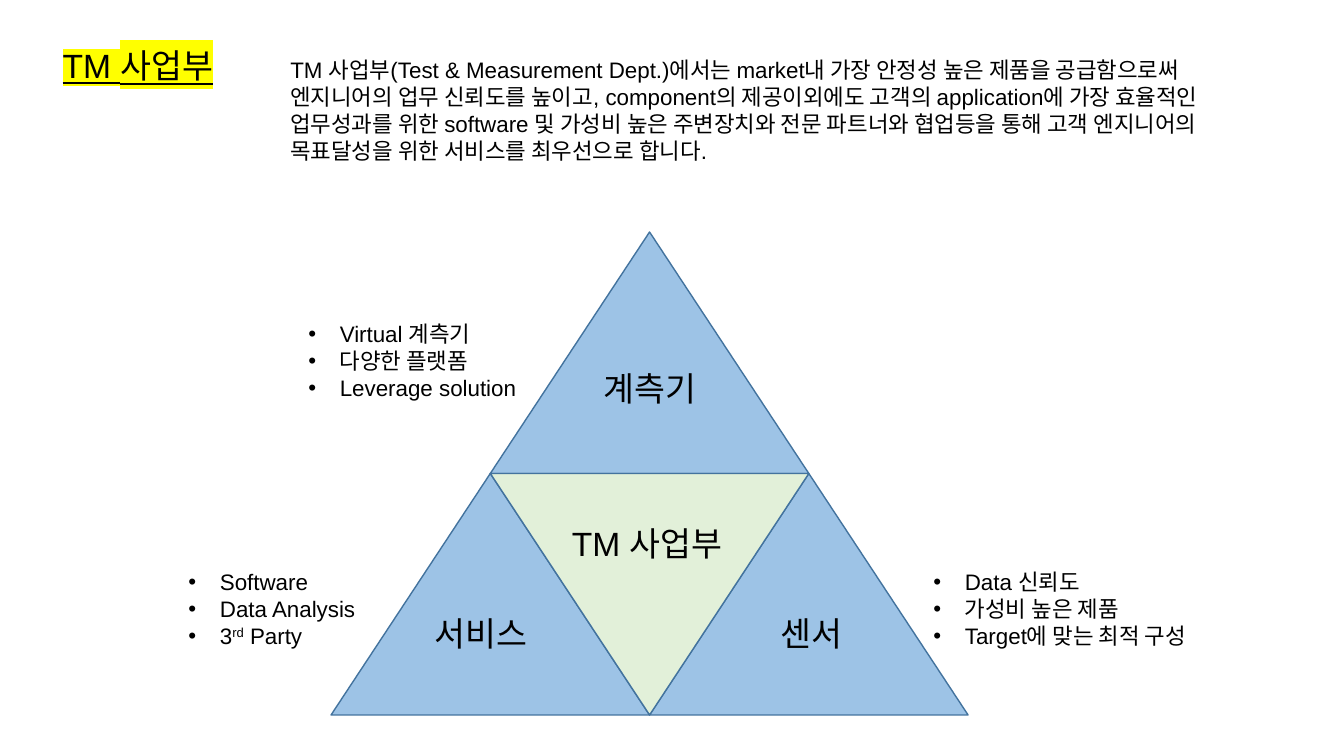
import lxml.etree
import pptx
import pptx.dml.color
import pptx.enum.shapes
import pptx.enum.text
import pptx.oxml.ns
import pptx.util

Pt = pptx.util.Pt
qn = pptx.oxml.ns.qn
RGBColor = pptx.dml.color.RGBColor
MSO_SHAPE = pptx.enum.shapes.MSO_SHAPE
PP_ALIGN = pptx.enum.text.PP_ALIGN
MSO_ANCHOR = pptx.enum.text.MSO_ANCHOR
MSO_AUTO_SIZE = pptx.enum.text.MSO_AUTO_SIZE

BLACK = RGBColor(0x00, 0x00, 0x00)
BLUE = RGBColor(0x9D, 0xC3, 0xE6)
GREEN = RGBColor(0xE2, 0xF0, 0xD9)
OUTLINE = RGBColor(0x43, 0x73, 0x9E)
YELLOW = RGBColor(0xFF, 0xFF, 0x00)

LATIN, KOREAN = "Arial", "Noto Sans CJK KR"
LARGE, SMALL = 24, 16
BULLET_INDENT = 22.5

# Triangle grid: one on top, two below, one inverted between them
GRID_X, GRID_Y, TRI_W, TRI_H = 236.5, 165.7, 227.5, 172.5


class SlideBuilder:
    def __init__(self, s):
        self.s = s

    def run(self, p, text, size, font=LATIN, baseline=None, highlight=None):
        r = p.add_run()
        r.text = text
        r.font.size = Pt(size)
        r.font.bold = False
        r.font.color.rgb = BLACK
        r.font.name = font
        rPr = r._r.get_or_add_rPr()
        latin = rPr.find(qn("a:latin"))
        ea = lxml.etree.Element(qn("a:ea"), typeface=KOREAN)
        latin.addnext(ea)
        if baseline:
            rPr.set("baseline", str(baseline))
        if highlight is not None:
            r.font.underline = True
            mark = lxml.etree.Element(qn("a:highlight"))
            lxml.etree.SubElement(mark, qn("a:srgbClr"), val=str(highlight))
            latin.addprevious(mark)

    def frame(self, sp, box, wrap):
        sp.left, sp.top, sp.width, sp.height = (Pt(v) for v in box)
        tf = sp.text_frame
        tf.word_wrap = wrap
        tf.auto_size = MSO_AUTO_SIZE.NONE
        tf.vertical_anchor = MSO_ANCHOR.TOP
        return tf

    def title(self, text, box):
        tf = self.frame(self.s.shapes.title, box, False)
        p = tf.paragraphs[0]
        p.alignment = PP_ALIGN.LEFT
        self.run(p, text, LARGE, highlight=YELLOW)

    def body(self, idx, paragraphs, box, bullets=True):
        """Fill a body placeholder; each paragraph is a list of (text, baseline)."""
        tf = self.frame(self.s.placeholders[idx], box, True)
        for i, runs in enumerate(paragraphs):
            p = tf.add_paragraph() if i else tf.paragraphs[0]
            p.alignment = PP_ALIGN.LEFT
            p.line_spacing = 1.0
            p.space_before = p.space_after = Pt(0)
            indent = Pt(BULLET_INDENT) if bullets else 0
            pPr = p._p.get_or_add_pPr()
            pPr.set("marL", str(indent))
            pPr.set("indent", str(-indent))
            if bullets:
                lxml.etree.SubElement(pPr, qn("a:buFont"), typeface=LATIN)
                lxml.etree.SubElement(pPr, qn("a:buChar"), char="•")
            else:
                lxml.etree.SubElement(pPr, qn("a:buNone"))
            for text, baseline in runs:
                self.run(p, text, SMALL, baseline=baseline)

    def triangle(self, column, row, fill, rotation=0):
        """Place a triangle on the grid; columns are half a triangle wide."""
        sp = self.s.shapes.add_shape(
            MSO_SHAPE.ISOSCELES_TRIANGLE,
            Pt(GRID_X + column * TRI_W / 2), Pt(GRID_Y + row * TRI_H),
            Pt(TRI_W), Pt(TRI_H))
        sp.rotation = rotation
        sp.shadow.inherit = False
        sp.fill.solid()
        sp.fill.fore_color.rgb = fill
        sp.line.color.rgb = OUTLINE
        sp.line.width = Pt(1)

    def label(self, text, box, font=KOREAN):
        sp = self.s.shapes.add_textbox(0, 0, 0, 0)
        p = self.frame(sp, box, False).paragraphs[0]
        p.alignment = PP_ALIGN.CENTER
        self.run(p, text, LARGE, font)


def plain(*lines):
    return [[(line, None)] for line in lines]


def main():
    prs = pptx.Presentation()
    prs.slide_width, prs.slide_height = Pt(960), Pt(540)
    comparison = prs.slide_layouts[4]
    b = SlideBuilder(prs.slides.add_slide(comparison))

    b.title("TM 사업부", (37.5, 28.8, 131, 36))
    b.body(1, plain(
        "TM 사업부(Test & Measurement Dept.)에서는 market내 가장 안정성 높은 제품을 공급함으로써",
        "엔지니어의 업무 신뢰도를 높이고, component의 제공이외에도 고객의 application에 가장 효율적인 "
        "업무성과를 위한 software 및 가성비 높은 주변장치와 전문 파트너와 협업등을 통해 "
        "고객 엔지니어의 목표달성을 위한 서비스를 최우선으로 합니다."),
        (200.2, 36.7, 708.5, 85), bullets=False)
    b.body(2, plain("Virtual 계측기", "다양한 플랫폼", "Leverage solution"),
           (213, 225.4, 187, 65.5))
    b.body(3, plain("Software", "Data Analysis")
           + [[("3", None), ("rd", 30000), (" Party", None)]],
           (127.4, 402.5, 183.6, 65.5))
    b.body(4, plain("Data 신뢰도", "가성비 높은 제품", "Target에 맞는 최적 구성"),
           (659.5, 402.5, 231.8, 65.5))

    for column, row in ((1, 0), (2, 1), (0, 1)):
        b.triangle(column, row, BLUE)
    b.triangle(1, 1, GREEN, 180)

    b.label("계측기", (420.5, 259.2, 87, 36))
    b.label("서비스", (300.2, 434.2, 87, 36))
    b.label("센서", (548, 434.2, 63.4, 36))
    b.label("TM 사업부", (396.7, 370.1, 131, 36), LATIN)

    prs.save("out.pptx")


if __name__ == "__main__":
    main()
